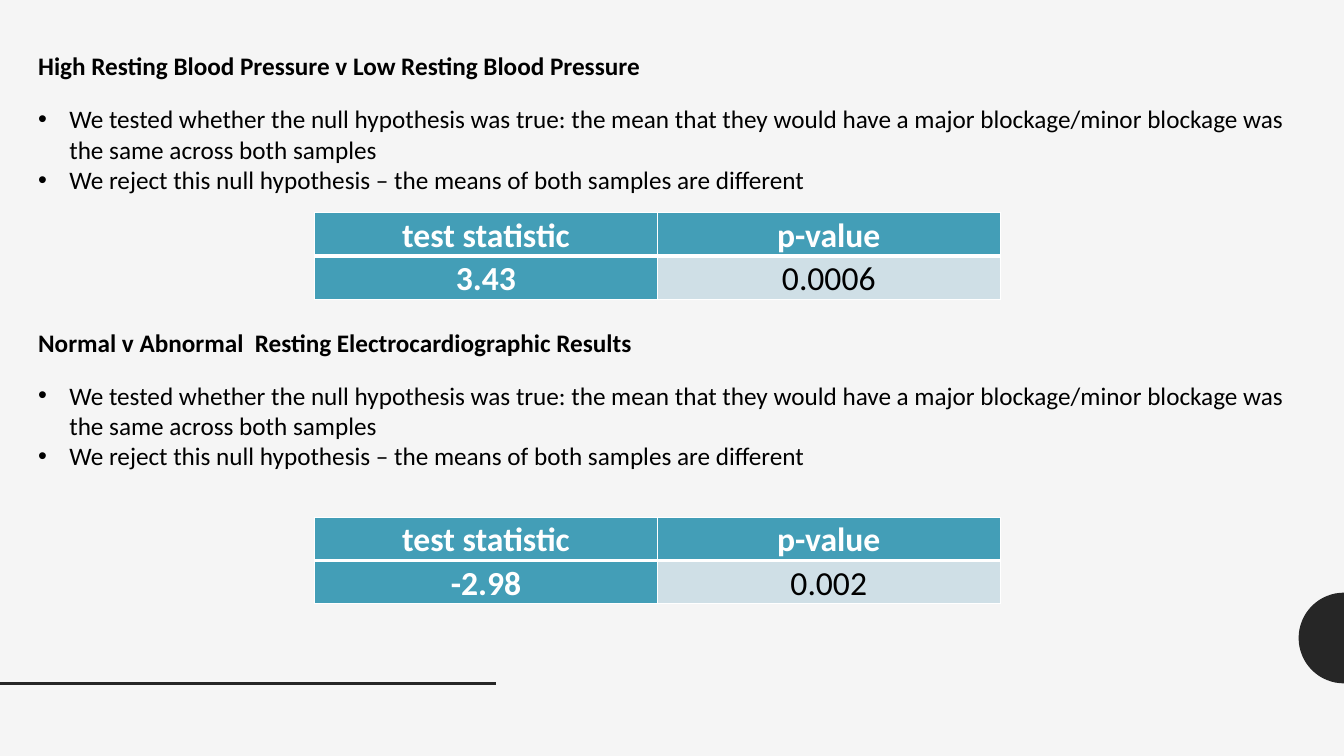
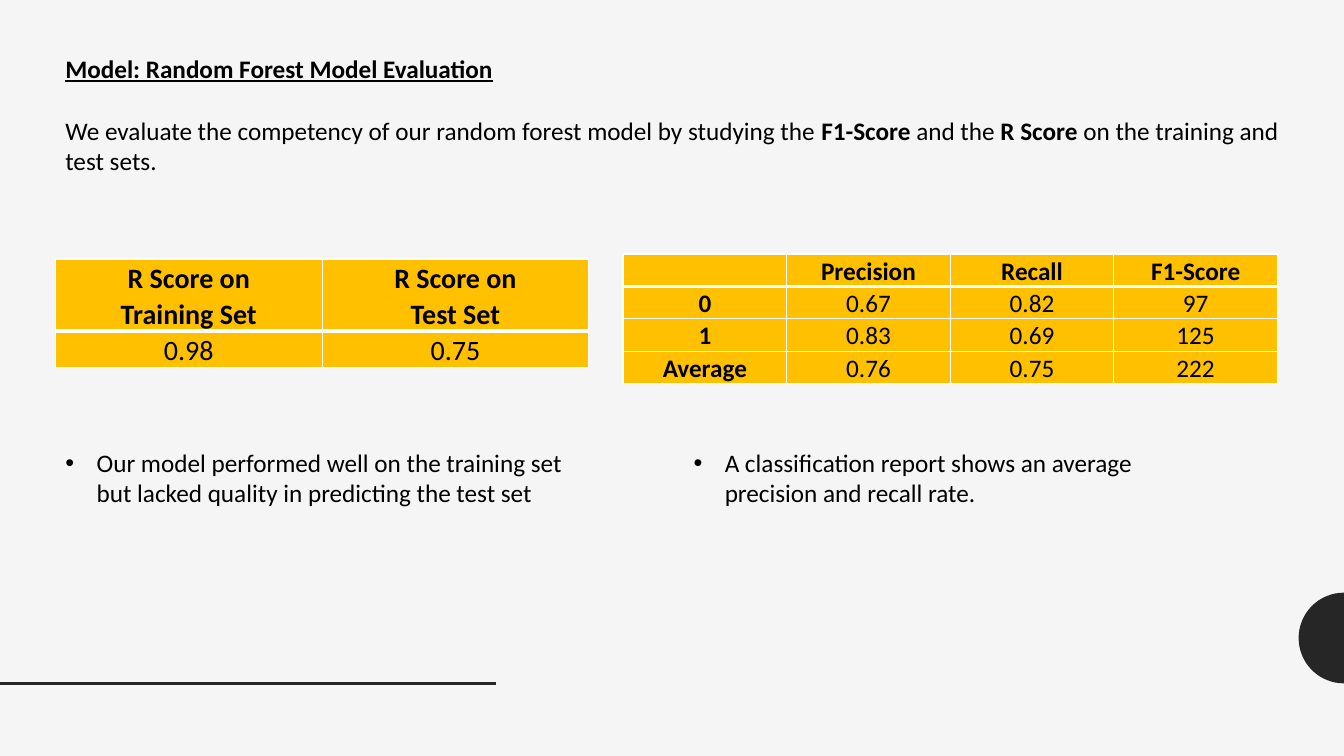
"""Build two slides on hypothesis tests and random forest model evaluation."""
import math

from lxml import etree
from pptx import Presentation, util as u
from pptx.dml.color import RGBColor
from pptx.enum import shapes, text
from pptx.oxml import ns

FONT = "Calibri"
PAPER, INK, BLACK, WHITE = "F5F5F5", "262626", "000000", "FFFFFF"
TEAL, PALE_TEAL, AMBER = "439EB7", "CFDFE6", "FFC000"
color = RGBColor.from_string


def add_text(slide, left, top, width, height, paragraphs, bullet=False, bold=None, underline=None):
    """Add a text box; segments between ** marks are bold."""
    frame = slide.shapes.add_textbox(*map(u.Inches, (left, top, width, height))).text_frame
    frame.word_wrap = True
    for index, content in enumerate(paragraphs):
        paragraph = frame.paragraphs[0] if index == 0 else frame.add_paragraph()
        if bullet:
            props = paragraph._p.get_or_add_pPr()
            props.set("marL", str(u.Inches(0.31)))
            props.set("indent", str(-u.Inches(0.31)))
            etree.SubElement(props, ns.qn("a:buFont"), typeface="Arial")
            etree.SubElement(props, ns.qn("a:buChar"), char="•")
        font = paragraph.font
        font.name, font.size, font.bold, font.underline = FONT, u.Pt(18), bold, underline
        font.color.rgb = color(BLACK)
        for position, segment in enumerate(content.split("**")):
            run = paragraph.add_run()
            run.text = segment
            if position % 2:
                run.font.bold = True


def add_grid(slide, left, top, width, heights, rows, size, head, body, head_ink, bold_first):
    """Add a table with white rules and a thicker one below the header."""
    count = len(rows[0])
    table = slide.shapes.add_table(len(rows), count, *map(u.Inches, (left, top, width, sum(heights)))).table
    table.first_row = table.horz_banding = False
    for r, values in enumerate(rows):
        table.rows[r].height = u.Inches(heights[r])
        for c, value in enumerate(values):
            cell = table.cell(r, c)
            is_head = r == 0 or (bold_first and c == 0)
            cell.margin_left = cell.margin_right = u.Inches(0.07)
            cell.margin_top = cell.margin_bottom = 0
            for side in "LRTB":
                thick = (r == 0 and side == "B") or (r == 1 and side == "T")
                rule = etree.SubElement(cell._tc.get_or_add_tcPr(), ns.qn(f"a:ln{side}"),
                                        w=str(u.Pt(3 if thick else 1)))
                paint = etree.SubElement(rule, ns.qn("a:solidFill"))
                etree.SubElement(paint, ns.qn("a:srgbClr"), val=WHITE)
            cell.fill.solid()
            cell.fill.fore_color.rgb = color(head if is_head else body)
            cell.text = value
            for paragraph in cell.text_frame.paragraphs:
                paragraph.alignment = text.PP_ALIGN.CENTER
                paragraph.line_spacing = 1.07
                font = paragraph.font
                font.name, font.size, font.bold = FONT, u.Pt(size), is_head
                font.color.rgb = color(head_ink if is_head else BLACK)


prs = Presentation()
prs.slide_width, prs.slide_height = u.Inches(13.33), u.Inches(7.5)
blank = prs.slide_layouts[6]
master_fill = prs.slide_master.background.fill
master_fill.solid()
master_fill.fore_color.rgb = color(PAPER)

tests_slide, model_slide = prs.slides.add_slide(blank), prs.slides.add_slide(blank)

radius, center_x, center_y = 0.45, 13.33, 6.33
arc = []
for step in range(33):
    angle = math.pi * (0.5 + step / 32)
    arc.append((u.Inches(center_x + radius * math.cos(angle)),
                u.Inches(center_y + radius * math.sin(angle))))

for slide in (tests_slide, model_slide):
    outline = slide.shapes.build_freeform(*arc[0])
    outline.add_line_segments(arc[1:], close=True)
    half_disc = outline.convert_to_shape()
    half_disc.shadow.inherit = False
    half_disc.fill.solid()
    half_disc.fill.fore_color.rgb = color(INK)
    half_disc.line.fill.background()
    footer_rule = slide.shapes.add_connector(
        shapes.MSO_CONNECTOR.STRAIGHT, 0, u.Inches(6.78), u.Inches(4.92), u.Inches(6.78))
    footer_rule.line.color.rgb = color(INK)
    footer_rule.line.width = u.Pt(2)
    etree.SubElement(footer_rule._element.spPr, ns.qn("a:effectLst"))

findings = [
    "We tested whether the null hypothesis was true: the mean that they would have a major "
    "blockage/minor blockage was the same across both samples",
    "We reject this null hypothesis – the means of both samples are different",
]
hypothesis_tests = [
    ("High Resting Blood Pressure v Low Resting Blood Pressure", 0.45, 0.98, 2.11, "3.43", "0.0006"),
    ("Normal v Abnormal  Resting Electrocardiographic Results", 3.2, 3.72, 5.13, "-2.98", "0.002"),
]
for heading, heading_top, findings_top, table_top, statistic, p_value in hypothesis_tests:
    add_text(tests_slide, 0.28, heading_top, 6.49, 0.4, [heading], bold=True)
    add_text(tests_slide, 0.28, findings_top, 12.77, 1.01, findings, bullet=True)
    add_grid(tests_slide, 3.12, table_top, 6.8, [0.43, 0.43],
             [["test statistic", "p-value"], [statistic, p_value]], 24, TEAL, PALE_TEAL, WHITE, True)

add_text(model_slide, 0.55, 0.48, 4.63, 0.4, ["Model: Random Forest Model Evaluation"],
         bold=True, underline=True)
add_text(model_slide, 0.55, 1.09, 12.43, 0.71, [
    "We evaluate the competency of our random forest model by studying the **F1-Score **and the "
    "**R Score **on the training and test sets."])
add_grid(model_slide, 0.55, 2.57, 5.29, [0.71, 0.36],
         [["R Score on\nTraining Set", "R Score on\nTest Set"], ["0.98", "0.75"]],
         20, AMBER, AMBER, BLACK, False)
add_grid(model_slide, 6.18, 2.52, 6.49, [0.32] * 4,
         [["", "Precision", "Recall", "F1-Score"],
          ["0", "0.67", "0.82", "97"],
          ["1", "0.83", "0.69", "125"],
          ["Average", "0.76", "0.75", "222"]],
         18, AMBER, AMBER, BLACK, True)
conclusions = [
    (0.55, "Our model performed well on the training set but lacked quality in predicting the test set"),
    (6.78, "A classification report shows an average precision and recall rate."),
]
for left, conclusion in conclusions:
    add_text(model_slide, left, 4.39, 5.29, 0.71, [conclusion], bullet=True)

prs.save("out.pptx")
